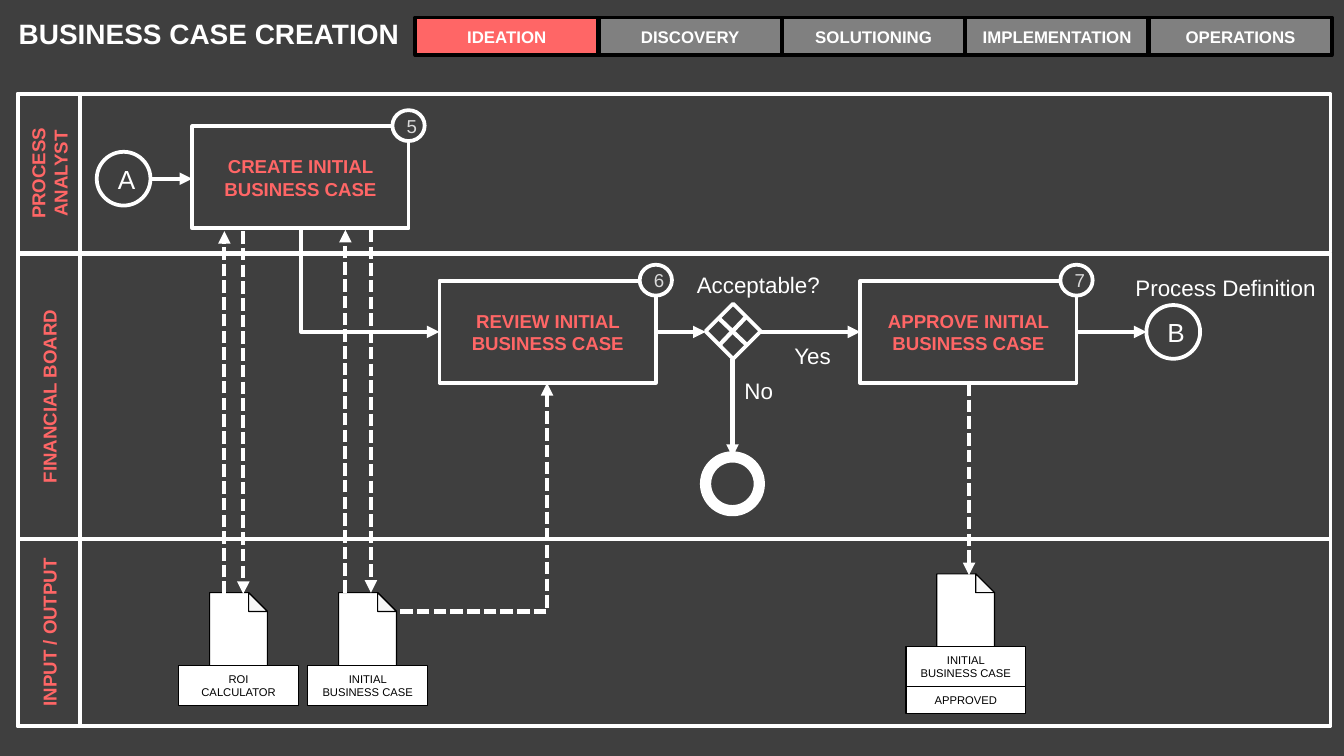
from dataclasses import dataclass

from lxml.etree import SubElement
from pptx import Presentation
from pptx.dml.color import RGBColor
from pptx.enum.dml import MSO_LINE
from pptx.enum.shapes import MSO_CONNECTOR, MSO_SHAPE
from pptx.enum.text import MSO_ANCHOR, MSO_AUTO_SIZE, PP_ALIGN
from pptx.oxml.ns import qn
from pptx.util import Inches, Pt

DARK = RGBColor(0x3F, 0x3F, 0x3F)
WHITE = RGBColor(0xFF, 0xFF, 0xFF)
BLACK = RGBColor(0, 0, 0)
CORAL = RGBColor(0xFF, 0x66, 0x66)
GRAY = RGBColor(0x80, 0x80, 0x80)
PALE = RGBColor(0xD9, 0xD9, 0xD9)
FOLD = RGBColor(0xF8, 0xF8, 0xF8)

Point = tuple[float, float]
Box = tuple[float, float, float, float]


@dataclass
class Lane:
    name: str
    top: float
    height: float


@dataclass
class Task:
    name: str
    number: str
    left: float
    top: float


@dataclass
class Sheet:
    left: float
    top: float
    labels: tuple[str, ...]


@dataclass
class Note:
    text: str
    box: Box
    wrap: bool = True


@dataclass
class Arrow:
    start: Point
    end: Point
    dashed: bool = False


PHASES = ["IDEATION", "DISCOVERY", "SOLUTIONING", "IMPLEMENTATION", "OPERATIONS"]
LANES = [
    Lane("PROCESS ANALYST", 0.7, 1.18),
    Lane("FINANCIAL BOARD", 1.89, 2.12),
    Lane("INPUT / OUTPUT", 4.01, 1.39),
]
TASKS = [
    Task("CREATE INITIAL BUSINESS CASE", "5", 1.43, 0.94),
    Task("REVIEW INITIAL BUSINESS CASE", "6", 3.27, 2.09),
    Task("APPROVE INITIAL BUSINESS CASE", "7", 6.4, 2.09),
]
SHEETS = [
    Sheet(1.56, 4.41, ("ROI CALCULATOR",)),
    Sheet(2.52, 4.41, ("INITIAL BUSINESS CASE",)),
    Sheet(6.97, 4.27, ("INITIAL BUSINESS CASE", "APPROVED")),
]
NOTES = [
    Note("Acceptable?", (5.03, 1.97, 1.17, 0.3)),
    Note("No", (5.43, 2.76, 0.42, 0.3), False),
    Note("Yes", (5.79, 2.5, 0.49, 0.3), False),
    Note("Process Definition", (8.33, 1.99, 1.56, 0.3)),
]
ARROWS = [
    Arrow((1.12, 1.33), (1.43, 1.33)),
    Arrow((4.88, 2.47), (5.25, 2.47)),
    Arrow((5.65, 2.47), (6.4, 2.47)),
    Arrow((8.01, 2.47), (8.53, 2.47)),
    Arrow((5.45, 2.67), (5.45, 3.4)),
    Arrow((1.67, 4.42), (1.67, 1.72), True),
    Arrow((1.81, 1.72), (1.81, 4.42), True),
    Arrow((2.57, 4.41), (2.57, 1.71), True),
    Arrow((2.76, 1.71), (2.76, 4.41), True),
    Arrow((7.21, 2.85), (7.21, 4.28), True),
]


def paint(shape, fill: RGBColor | None, line: RGBColor, width: float) -> None:
    shape.shadow.inherit = False
    if fill is None:
        shape.fill.background()
    else:
        shape.fill.solid()
        shape.fill.fore_color.rgb = fill
    shape.line.color.rgb = line
    shape.line.width = Pt(width)


def write(shape, text: str, size: float, color: RGBColor, bold: bool = False,
          align: PP_ALIGN = PP_ALIGN.CENTER) -> None:
    frame = shape.text_frame
    frame.text = text
    frame.word_wrap = True
    para = frame.paragraphs[0]
    para.alignment = align
    font = para.runs[0].font
    font.name, font.size, font.bold = "Arial", Pt(size), bold
    font.color.rgb = color


def add_box(shapes, box: Box, fill: RGBColor | None = None, line: RGBColor = WHITE,
            width: float = 2, kind: MSO_SHAPE = MSO_SHAPE.RECTANGLE):
    shape = shapes.add_shape(kind, *map(Inches, box))
    paint(shape, fill, line, width)
    return shape


def add_line(shapes, start: Point, end: Point, dashed: bool = False, tip: str = ""):
    """Draw a straight line; tip is the arrowhead tag, headEnd or tailEnd."""
    line = shapes.add_connector(MSO_CONNECTOR.STRAIGHT, *map(Inches, start + end))
    line.line.color.rgb = WHITE
    line.line.width = Pt(2.25)
    if dashed:
        line.line.dash_style = MSO_LINE.SQUARE_DOT
    props = line.element.spPr
    if tip:
        SubElement(props.find(qn("a:ln")), qn(f"a:{tip}"), type="triangle")
    SubElement(props, qn("a:effectLst"))
    return line


def add_elbow(shapes, start: Point, end: Point, dashed: bool, tip: str) -> None:
    """Draw a connector that runs down from start, then sideways to end."""
    (x1, y1), (x2, y2) = start, end
    mid_x, mid_y = (x1 + x2) / 2, (y1 + y2) / 2
    half_w, half_h = abs(y2 - y1) / 2, abs(x2 - x1) / 2
    line = add_line(shapes, (mid_x - half_w, mid_y - half_h),
                    (mid_x + half_w, mid_y + half_h), dashed, tip)
    props = line.element.spPr
    props.find(qn("a:prstGeom")).set("prst", "bentConnector2")
    frame = props.find(qn("a:xfrm"))
    frame.set("rot", str((270 if x2 > x1 else 90) * 60000))
    if x2 > x1:
        frame.set("flipH", "1")


def add_lane(shapes, lane: Lane) -> None:
    add_box(shapes, (0.13, lane.top, 9.77, lane.height))
    mid_x, mid_y = 0.13 + 0.47 / 2, lane.top + lane.height / 2
    tab = add_box(shapes, (mid_x - lane.height / 2, mid_y - 0.23, lane.height, 0.46))
    tab.rotation = 270
    write(tab, lane.name, 10, CORAL, True)


def add_task(shapes, task: Task) -> None:
    write(add_box(shapes, (task.left, task.top, 1.61, 0.76)), task.name, 10, CORAL, True)
    badge = add_box(shapes, (task.left + 1.49, task.top - 0.12, 0.24, 0.23), DARK,
                    kind=MSO_SHAPE.OVAL)
    write(badge, task.number, 10, PALE)


def add_path(shapes, points: list[Point], fill: RGBColor) -> None:
    first, *rest = [(Inches(x), Inches(y)) for x, y in points]
    path = shapes.build_freeform(*first)
    path.add_line_segments(rest, close=True)
    paint(path.convert_to_shape(), fill, BLACK, 0.63)


def add_sheet(shapes, sheet: Sheet) -> None:
    left, top = sheet.left, sheet.top
    right, base = left + 0.43, top + 0.58
    fold_x, fold_y = right - 0.14, top + 0.14
    add_path(shapes, [(fold_x, top), (left, top), (left, base), (right, base),
                      (right, fold_y)], WHITE)
    add_path(shapes, [(fold_x, fold_y), (right, fold_y), (fold_x, top)], FOLD)
    y = top + 0.54
    for text, height in zip(sheet.labels, (0.3, 0.2)):
        label = add_box(shapes, (left - 0.23, y, 0.89, height), WHITE, BLACK, 0.75)
        write(label, text, 6, BLACK)
        label.text_frame.vertical_anchor = MSO_ANCHOR.TOP
        y += height


def add_note(shapes, note: Note) -> None:
    box = shapes.add_textbox(*map(Inches, note.box))
    write(box, note.text, 12, WHITE, align=PP_ALIGN.RIGHT)
    box.text_frame.word_wrap = note.wrap
    box.text_frame.auto_size = MSO_AUTO_SIZE.SHAPE_TO_FIT_TEXT


def main() -> None:
    deck = Presentation()
    deck.slide_width = Inches(10)
    deck.slide_height = deck.slide_width * 9 // 16
    slide = deck.slides.add_slide(deck.slide_layouts[6])
    slide.background.fill.solid()
    slide.background.fill.fore_color.rgb = DARK
    shapes = slide.shapes

    title = shapes.add_textbox(*map(Inches, (0.04, 0.02, 3.21, 0.63)))
    write(title, "BUSINESS CASE CREATION", 15, WHITE, True, PP_ALIGN.LEFT)
    title.text_frame.margin_top = title.text_frame.margin_bottom = Inches(0.1)
    for i, name in enumerate(PHASES):
        phase = add_box(shapes, (3.09 + i * 5.46 / 4, 0.13, 1.36, 0.28),
                        GRAY if i else CORAL, BLACK)
        write(phase, name, 9, WHITE, True)

    for lane in LANES:
        add_lane(shapes, lane)
    for task in TASKS:
        add_task(shapes, task)
    for text, x, y in (("A", 0.72, 1.13), ("B", 8.53, 2.27)):
        write(add_box(shapes, (x, y, 0.4, 0.4), kind=MSO_SHAPE.OVAL), text, 14, WHITE)
    add_box(shapes, (5.25, 3.4, 0.4, 0.4), width=6, kind=MSO_SHAPE.OVAL)
    add_box(shapes, (5.25, 2.26, 0.41, 0.41), kind=MSO_SHAPE.FLOWCHART_DECISION)
    add_line(shapes, (5.34, 2.36), (5.56, 2.57))
    add_line(shapes, (5.55, 2.36), (5.35, 2.57))

    for sheet in SHEETS:
        add_sheet(shapes, sheet)
    for arrow in ARROWS:
        add_line(shapes, arrow.start, arrow.end, arrow.dashed, "tailEnd")
    add_elbow(shapes, (2.24, 1.71), (3.27, 2.47), False, "tailEnd")
    add_elbow(shapes, (4.07, 2.85), (2.95, 4.55), True, "headEnd")
    for note in NOTES:
        add_note(shapes, note)
    deck.save("out.pptx")


if __name__ == "__main__":
    main()
